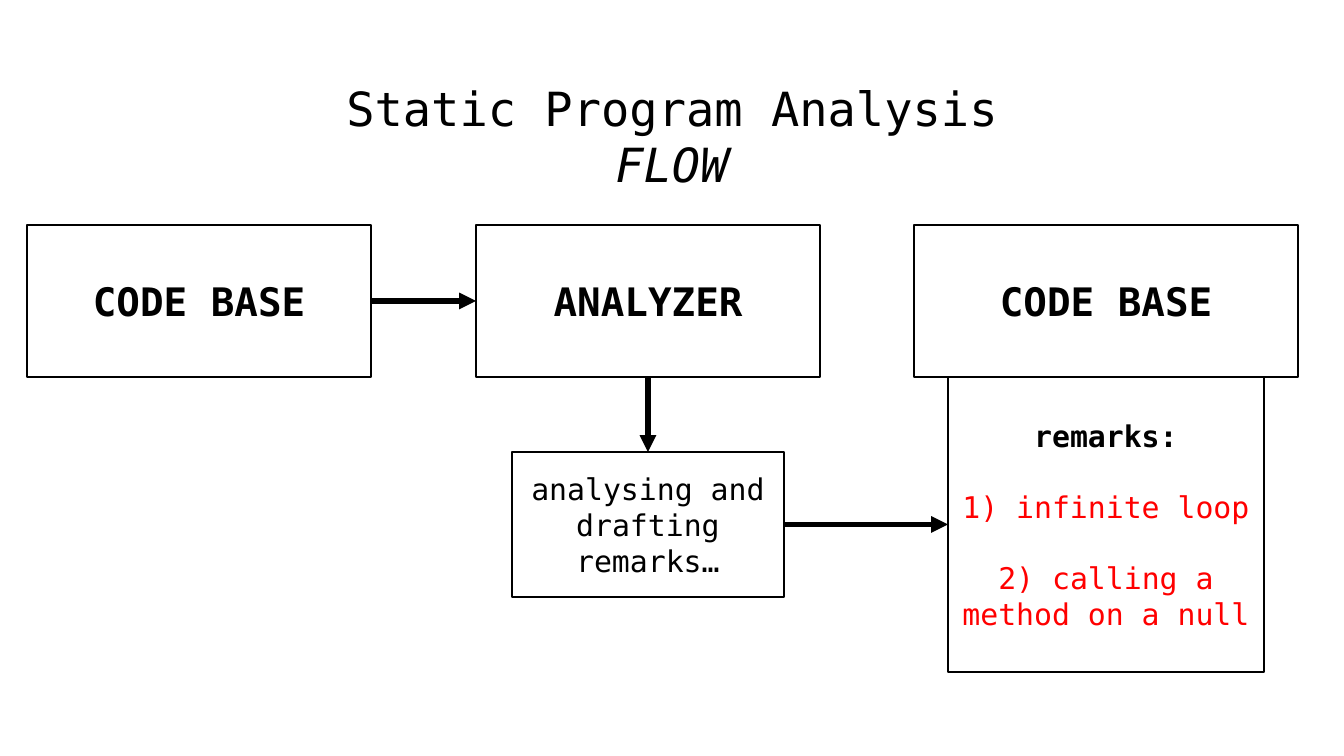
from pptx import Presentation
from pptx.dml.color import RGBColor
from pptx.enum.shapes import MSO_CONNECTOR, MSO_SHAPE
from pptx.enum.text import MSO_ANCHOR, MSO_AUTO_SIZE, PP_ALIGN
from pptx.oxml.ns import qn
from pptx.util import Emu, Pt
from lxml import etree

RECT, STRAIGHT = MSO_SHAPE.RECTANGLE, MSO_CONNECTOR.STRAIGHT
TOP, MIDDLE = MSO_ANCHOR.TOP, MSO_ANCHOR.MIDDLE
CENTER, NO_FIT = PP_ALIGN.CENTER, MSO_AUTO_SIZE.NONE
SITE_TOP, SITE_LEFT, SITE_BOTTOM, SITE_RIGHT = range(4)

THEME = {
    "font": "DejaVu Sans Mono",
    "ink": RGBColor(0, 0, 0),
    "paper": RGBColor(255, 255, 255),
    "alert": RGBColor(255, 0, 0),
    "title": 25.2, "heading": 21, "body": 16,
    "outline": 0.75, "arrow": 3,
    "item_gap": 19,
}

# Paragraphs: (text, type size, colour, style)
TITLE = [("Static Program Analysis", "title", "ink", ""),
         ("FLOW", "title", "ink", "italic")]
TITLE_FRAME = (46, 66, 1252, 85)

# Boxes: name -> (left, top, width, height), paragraphs
ROW_TOP, ROW_HEIGHT = 225, 152
BOXES = {
    "code": ((27, ROW_TOP, 344, ROW_HEIGHT), [("CODE BASE", "heading", "ink", "bold")]),
    "analyzer": ((476, ROW_TOP, 344, ROW_HEIGHT), [("ANALYZER", "heading", "ink", "bold")]),
    "drafting": ((512, 452, 272, 145),
                 [("analysing and drafting remarks…", "body", "ink", "")]),
    "reviewed": ((914, ROW_TOP, 384, ROW_HEIGHT), [("CODE BASE", "heading", "ink", "bold")]),
    "remarks": ((948, ROW_TOP + ROW_HEIGHT, 316, 295), [
        ("remarks:", "body", "ink", "bold"),
        ("1) infinite loop", "body", "alert", ""),
        ("2) calling a method on a null", "body", "alert", ""),
    ]),
}
ARROWS = [("code", SITE_RIGHT, "analyzer", SITE_LEFT),
          ("analyzer", SITE_BOTTOM, "drafting", SITE_TOP),
          ("drafting", SITE_RIGHT, "remarks", SITE_LEFT)]


def px(n):
    return Emu(round(n * 914400 / 134.4))


def write(tf, paragraphs, anchor, gap=0):
    tf.word_wrap = True
    tf.auto_size = NO_FIT
    tf.vertical_anchor = anchor
    tf.margin_left = tf.margin_right = tf.margin_top = tf.margin_bottom = px(13)
    for i, (text, size, colour, style) in enumerate(paragraphs):
        p = tf.add_paragraph() if i else tf.paragraphs[0]
        p.text = text
        p.alignment = CENTER
        p.space_before = Pt(gap if i else 0)
        p.font.name = THEME["font"]
        p.font.size = Pt(THEME[size])
        p.font.color.rgb = THEME[colour]
        p.font.bold = style == "bold"
        p.font.italic = style == "italic"


def add_box(s, frame, paragraphs):
    sp = s.shapes.add_shape(RECT, *map(px, frame))
    sp.shadow.inherit = False
    sp.fill.solid()
    sp.fill.fore_color.rgb = THEME["paper"]
    sp.line.color.rgb = THEME["ink"]
    sp.line.width = Pt(THEME["outline"])
    write(sp.text_frame, paragraphs, MIDDLE, THEME["item_gap"])
    return sp


def add_arrow(s, start, start_site, end, end_site):
    c = s.shapes.add_connector(STRAIGHT, 0, 0, 0, 0)
    c.begin_connect(start, start_site)
    c.end_connect(end, end_site)
    c.line.color.rgb = THEME["ink"]
    c.line.width = Pt(THEME["arrow"])
    etree.SubElement(c.line._get_or_add_ln(), qn("a:tailEnd"), type="triangle")
    etree.SubElement(c._element.spPr, qn("a:effectLst"))


def main():
    prs = Presentation()
    prs.slide_width, prs.slide_height = px(1344), px(756)
    s = prs.slides.add_slide(prs.slide_layouts[5])

    title = s.shapes.title
    title.left, title.top, title.width, title.height = map(px, TITLE_FRAME)
    write(title.text_frame, TITLE, TOP)

    boxes = {name: add_box(s, *box) for name, box in BOXES.items()}
    for start, start_site, end, end_site in ARROWS:
        add_arrow(s, boxes[start], start_site, boxes[end], end_site)

    prs.save("out.pptx")


if __name__ == "__main__":
    main()
